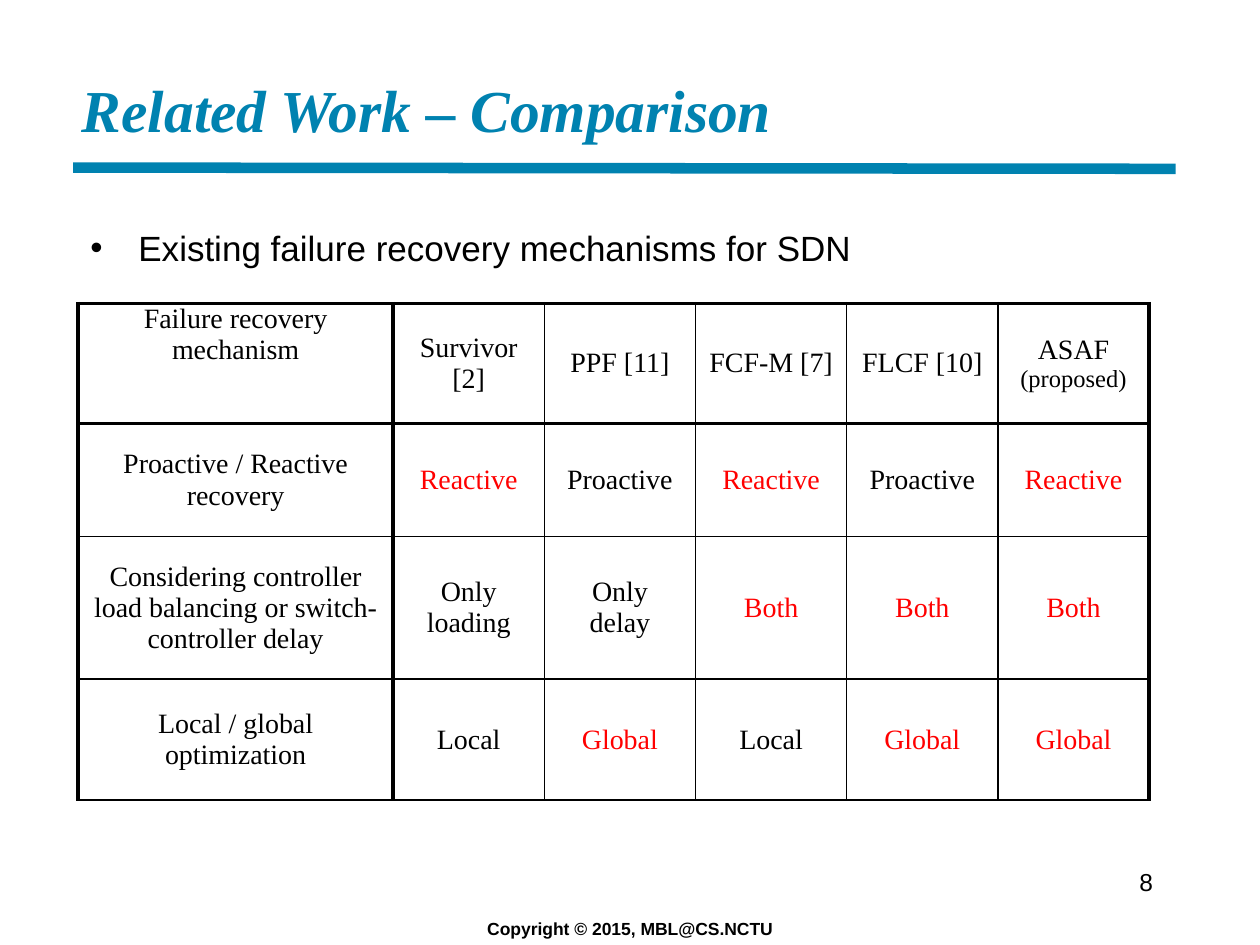
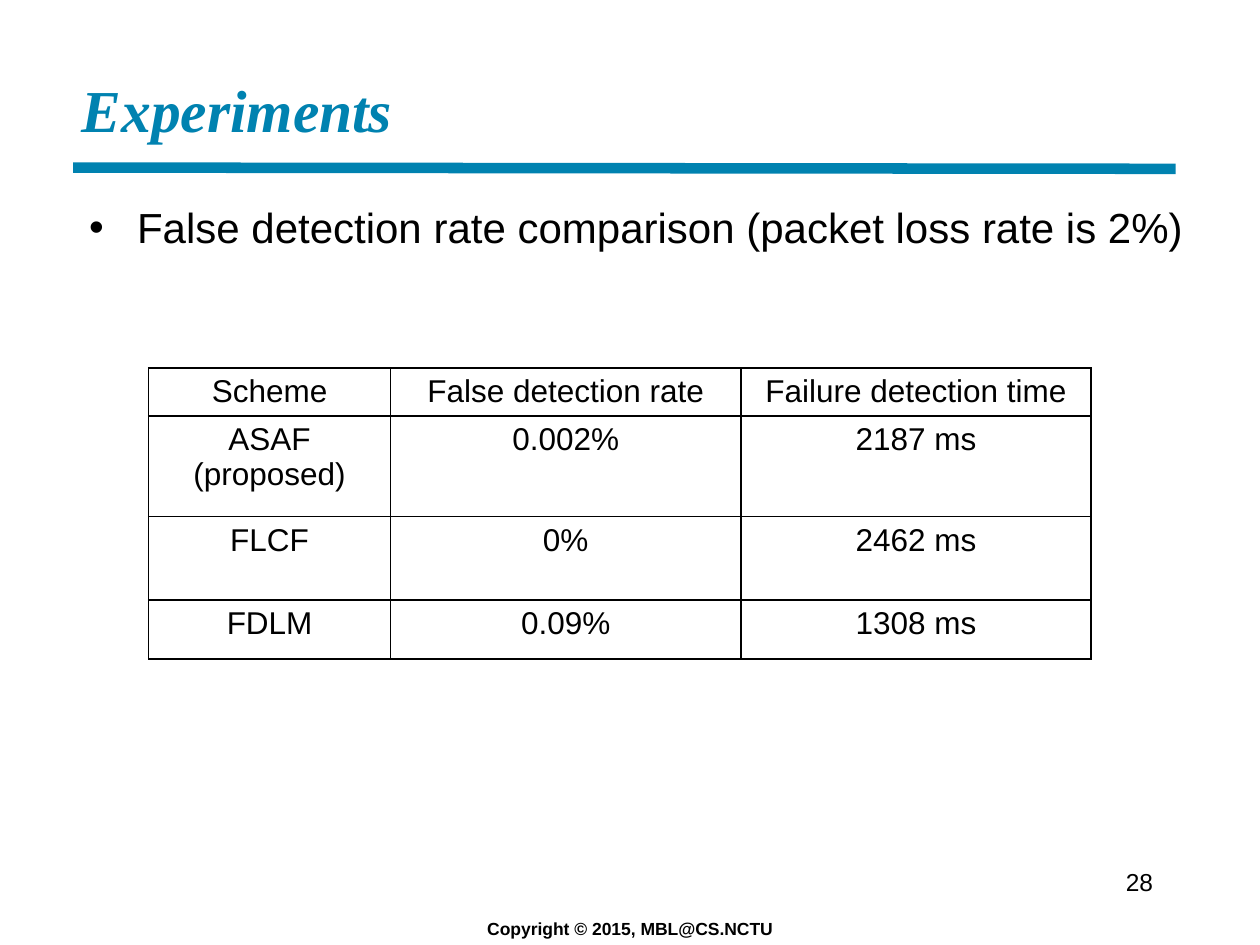
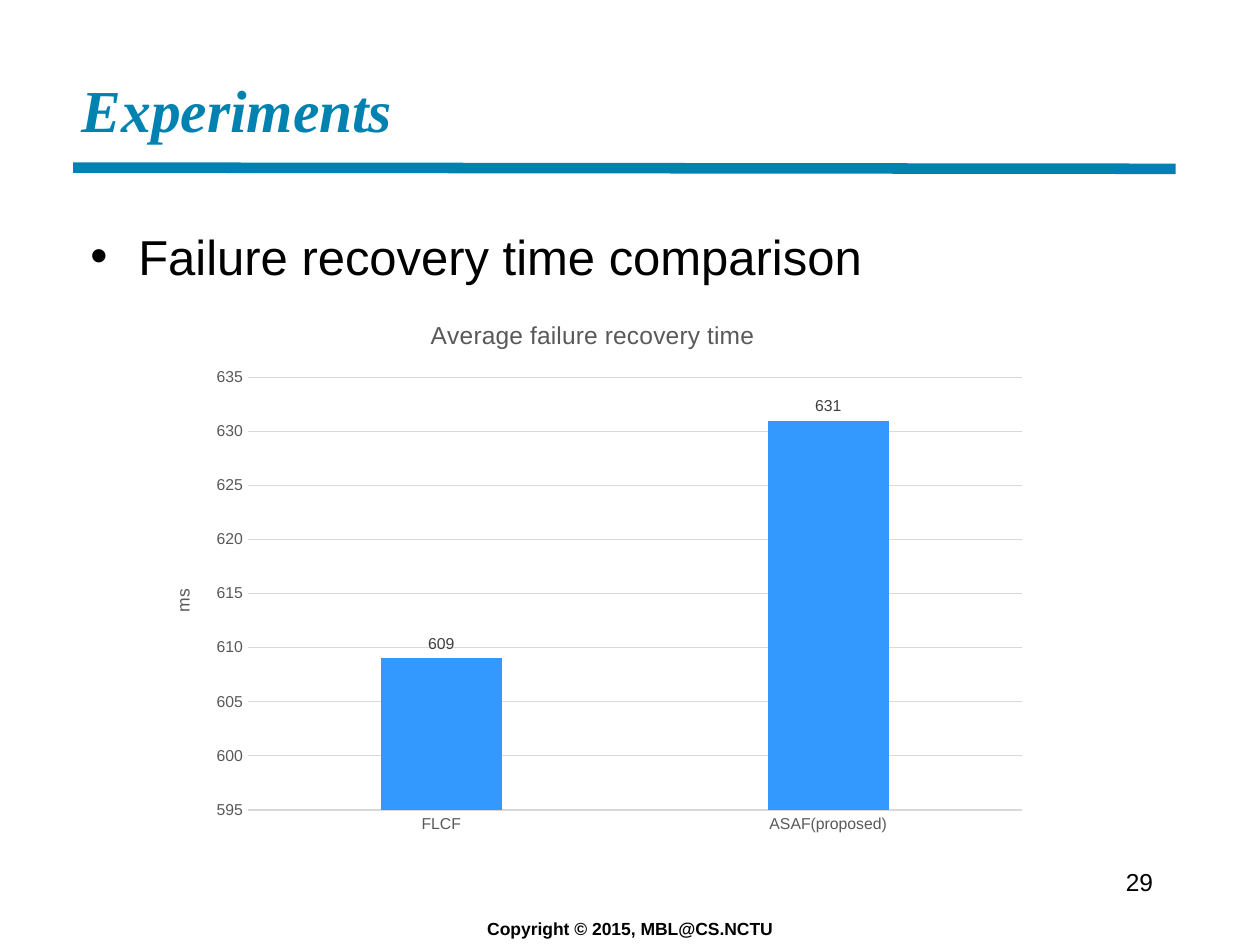
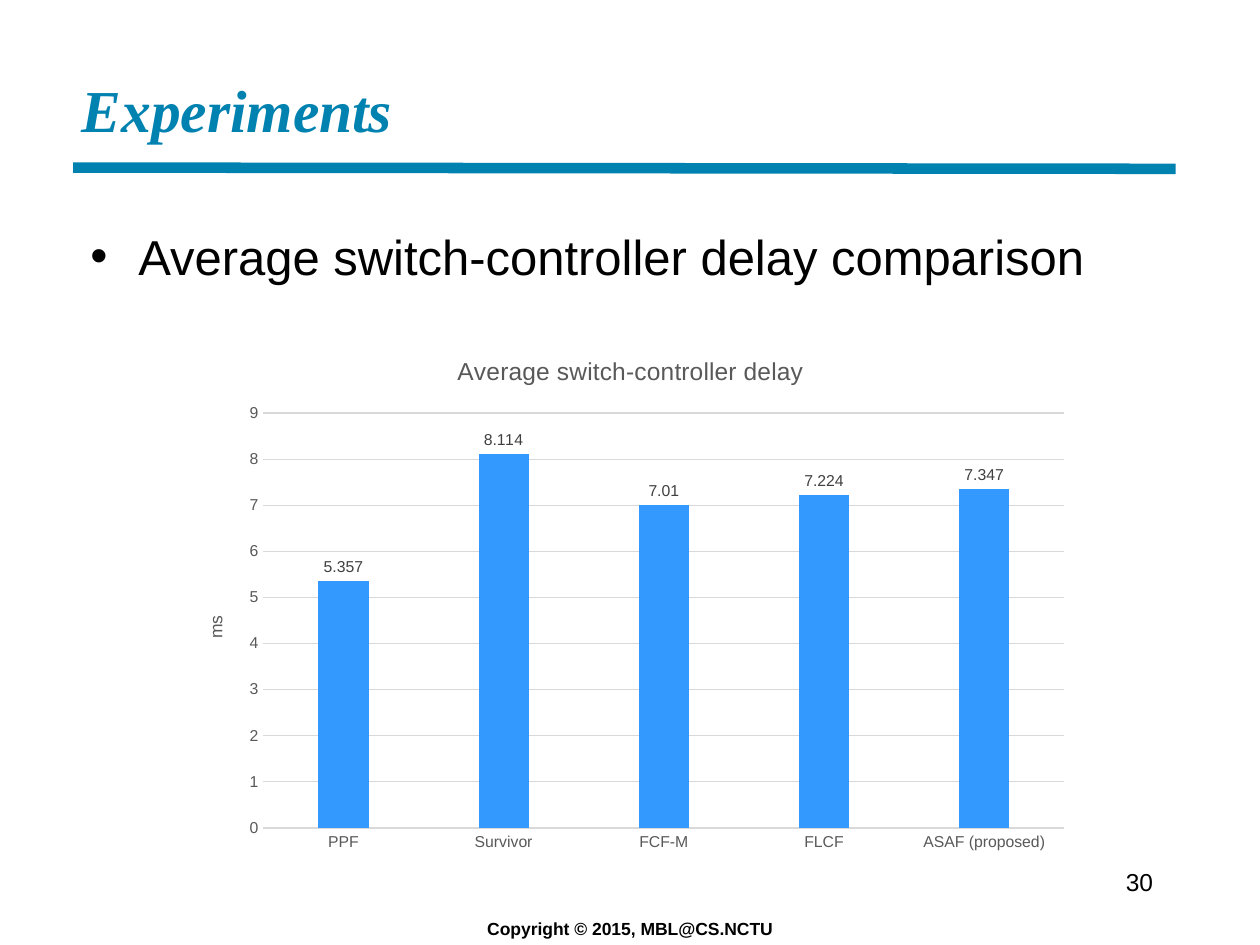
from lxml import etree
from pptx import Presentation
from pptx.chart.data import CategoryChartData
from pptx.dml.color import RGBColor
from pptx.enum.chart import XL_CHART_TYPE, XL_LABEL_POSITION, XL_TICK_MARK
from pptx.enum.shapes import MSO_CONNECTOR
from pptx.enum.text import MSO_ANCHOR, MSO_AUTO_SIZE, PP_ALIGN
from pptx.oxml.ns import qn
from pptx.util import Inches, Pt

LEFT, CENTER, RIGHT = PP_ALIGN.LEFT, PP_ALIGN.CENTER, PP_ALIGN.RIGHT
TOP, MIDDLE, BOTTOM = MSO_ANCHOR.TOP, MSO_ANCHOR.MIDDLE, MSO_ANCHOR.BOTTOM
COLUMNS = XL_CHART_TYPE.COLUMN_CLUSTERED
OUTSIDE_END = XL_LABEL_POSITION.OUTSIDE_END
NO_TICK = XL_TICK_MARK.NONE

# Shared style
SANS, SERIF = "Arial", "Times New Roman"
TEAL, BLACK, RED = "0082B0", "000000", "FF0000"
BAR, GREY, DARK, PALE = "3399FF", "595959", "404040", "D9D9D9"
TITLE = dict(name=SERIF, size=34, color=TEAL, bold=True, italic=True)
FOOTER = dict(name=SANS, size=10, color=BLACK, bold=True)
NUMBER = dict(name=SANS, size=14, color=BLACK)
FOOTER_TEXT = "Copyright © 2015, MBL@CS.NCTU"
THIN, THICK = 1, 2.25

# Slide content
MECHANISMS = [
    ["Failure recovery mechanism", "Survivor [2]", "PPF [11]", "FCF-M [7]",
     "FLCF [10]", "ASAF\n(proposed)"],
    ["Proactive / Reactive recovery", "Reactive", "Proactive", "Reactive",
     "Proactive", "Reactive"],
    ["Considering controller load balancing or switch-controller delay",
     "Only\nloading", "Only\ndelay", "Both", "Both", "Both"],
    ["Local / global optimization", "Local", "Global", "Local", "Global", "Global"],
]
DETECTION = [
    ["Scheme", "False detection rate", "Failure detection time"],
    ["ASAF\n(proposed)", "0.002%", "2187 ms"],
    ["FLCF", "0%", "2462 ms"],
    ["FDLM", "0.09%", "1308 ms"],
]
RECOVERY_TIME = {"FLCF": 609, "ASAF(proposed)": 631}
SWITCH_DELAY = {"PPF": 5.357, "Survivor": 8.114, "FCF-M": 7.01,
                "FLCF": 7.224, "ASAF (proposed)": 7.347}


def rgb(value):
    return RGBColor.from_string(value)


def set_font(font, fmt):
    for key, value in fmt.items():
        if key == "color":
            font.color.rgb = rgb(value)
        else:
            setattr(font, key, Pt(value) if key == "size" else value)


def place(shape, box):
    for side, value in zip(("left", "top", "width", "height"), box):
        setattr(shape, side, Inches(value))


def write(shape, text, fmt, align=LEFT, anchor=TOP, inset=0.1):
    tf = shape.text_frame
    tf.word_wrap, tf.auto_size = True, MSO_AUTO_SIZE.NONE
    tf.vertical_anchor = anchor
    tf.margin_left = tf.margin_right = Inches(inset)
    tf.margin_top = tf.margin_bottom = Inches(0.05)
    p = tf.paragraphs[0]
    p.alignment = align
    r = p.add_run()
    r.text = text
    set_font(r.font, fmt)
    return p


def add_text(s, box, text, fmt, align=LEFT):
    return write(s.shapes.add_textbox(*map(Inches, box)), text, fmt, align)


def add_rule(s):
    line = s.shapes.add_connector(MSO_CONNECTOR.STRAIGHT, Inches(0.58), Inches(1.33),
                                  Inches(9.33), Inches(1.34))
    line.line.color.rgb = rgb(TEAL)
    line.line.width = Pt(6)
    etree.SubElement(line._element.spPr, qn("a:effectLst"))


def add_slide(prs, title, number):
    s = prs.slides.add_slide(prs.slide_layouts[5])
    add_rule(s)
    add_text(s, (0, 7.24, 10, 0.26), FOOTER_TEXT, FOOTER, CENTER)
    place(s.shapes.title, (0.5, 0.5, 8.83, 0.7))
    write(s.shapes.title, title, TITLE, anchor=BOTTOM, inset=0.15)
    add_text(s, (7.17, 6.83, 2.08, 0.38), str(number), NUMBER, RIGHT)
    return s


def add_bullet(s, box, text, size):
    p = add_text(s, box, text, dict(name=SANS, size=size, color=BLACK))
    p.space_before = Pt(size * 0.2)
    pPr = p._p.get_or_add_pPr()
    pPr.set("marL", str(Inches(0.38)))
    pPr.set("indent", str(-Inches(0.38)))
    etree.SubElement(pPr, qn("a:buFont"), typeface=SANS)
    etree.SubElement(pPr, qn("a:buChar"), char="•")


def set_borders(cell, widths):
    tcPr = cell._tc.get_or_add_tcPr()
    for i, (side, width) in enumerate(zip("LRTB", widths)):
        ln = etree.Element(qn(f"a:ln{side}"), w=str(Pt(width)))
        fill = etree.SubElement(ln, qn("a:solidFill"))
        etree.SubElement(fill, qn("a:srgbClr"), val=BLACK)
        tcPr.insert(i, ln)


def fill_cell(cell, text, fmt, special):
    """Write one paragraph a line; special maps a wording to its own format."""
    tf = cell.text_frame
    for i, words in enumerate(text.split("\n")):
        p = tf.add_paragraph() if i else tf.paragraphs[0]
        p.alignment = CENTER
        r = p.add_run()
        r.text = words
        set_font(r.font, {**fmt, **special.get(words, {})})


def add_grid(s, at, cols, heights, rows, fmt, special={}, heavy=(), margins=(0.1, 0.05)):
    """Draw a ruled table; heavy names the grid lines that are thick, as (axis, index)."""
    box = (*at, sum(cols), sum(heights))
    table = s.shapes.add_table(len(rows), len(cols), *map(Inches, box)).table
    table.first_row = table.horz_banding = False
    for items, sizes, attr in ((table.columns, cols, "width"), (table.rows, heights, "height")):
        for item, size in zip(items, sizes):
            setattr(item, attr, Inches(size))
    for i, row in enumerate(rows):
        for j, text in enumerate(row):
            cell = table.cell(i, j)
            cell.fill.background()
            cell.margin_left = cell.margin_right = Inches(margins[0])
            cell.margin_top = cell.margin_bottom = Inches(margins[1])
            fill_cell(cell, text, fmt, special)
            edges = (("v", j), ("v", j + 1), ("h", i), ("h", i + 1))
            set_borders(cell, [THICK if e in heavy else THIN for e in edges])
    return table


def add_title(owner, text, size):
    """Title a chart or an axis."""
    owner.has_title = True
    title = owner.chart_title if hasattr(owner, "chart_title") else owner.axis_title
    r = title.text_frame.paragraphs[0].add_run()
    r.text = text
    set_font(r.font, dict(name=SANS, size=size, color=GREY, bold=False))


def add_columns(s, box, title, values, scale):
    data = CategoryChartData()
    data.categories = list(values)
    data.add_series("Series 1", list(values.values()))
    chart = s.shapes.add_chart(COLUMNS, *map(Inches, box), data).chart
    set_font(chart.font, dict(name=SANS, size=10, color=BLACK))
    chart.has_legend = False
    add_title(chart, title, 14)

    # Axes
    cat, val = chart.category_axis, chart.value_axis
    for axis in (cat, val):
        axis.major_tick_mark = axis.minor_tick_mark = NO_TICK
        set_font(axis.tick_labels.font, dict(name=SANS, size=9, color=GREY))
    add_title(val, "ms", 10)
    val.minimum_scale, val.maximum_scale, val.major_unit = scale
    val.format.line.fill.background()
    for line in (cat.format.line, val.major_gridlines.format.line):
        line.color.rgb = rgb(PALE)
        line.width = Pt(0.75)

    # Columns and their values
    plot = chart.plots[0]
    plot.gap_width, plot.overlap, plot.vary_by_categories = 219, -27, False
    fill = plot.series[0].format.fill
    fill.solid()
    fill.fore_color.rgb = rgb(BAR)
    labels = plot.series[0].data_labels
    labels.show_value, labels.position = True, OUTSIDE_END
    set_font(labels.font, dict(name=SANS, size=9, color=DARK))


def main():
    prs = Presentation()
    prs.slide_width, prs.slide_height = Inches(10), Inches(7.5)

    # Comparison of mechanisms
    s = add_slide(prs, "Related Work – Comparison", 8)
    special = {word: dict(color=RED) for word in ("Reactive", "Both", "Global")}
    special["(proposed)"] = dict(size=14)
    table = add_grid(s, (0.62, 2.41), [2.5] + [1.2] * 5, [0.95, 0.9, 1.13, 0.96],
                     MECHANISMS, dict(name=SERIF, size=16, color=BLACK), special,
                     heavy={("v", 0), ("v", 1), ("v", 6), ("h", 0), ("h", 1)},
                     margins=(0.07, 0))
    for cell in table.iter_cells():
        cell.vertical_anchor = MIDDLE
    table.cell(0, 0).vertical_anchor = TOP
    add_bullet(s, (0.62, 1.75, 8.76, 0.6), "Existing failure recovery mechanisms for SDN", 20)

    # False detection rate
    s = add_slide(prs, "Experiments", 28)
    add_bullet(s, (0.61, 1.55, 8.88, 1.1),
               "False detection rate comparison (packet loss rate is 2%)", 24)
    add_grid(s, (1.18, 2.92), [1.92, 2.78, 2.78], [0.38, 0.8, 0.66, 0.47],
             DETECTION, dict(name=SANS, size=18, color=BLACK))

    # Measured times
    for number, bullet, box, title, values, scale in (
        (29, "Failure recovery time comparison", (1.16, 2.36, 7.09, 4.34),
         "Average failure recovery time", RECOVERY_TIME, (595, 635, 5)),
        (30, "Average switch-controller delay comparison", (1.42, 2.65, 7.17, 4.19),
         "Average switch-controller delay", SWITCH_DELAY, (0, 9, 1)),
    ):
        s = add_slide(prs, "Experiments", number)
        add_bullet(s, (0.62, 1.75, 8.76, 0.7), bullet, 28)
        add_columns(s, box, title, values, scale)

    prs.save("out.pptx")


if __name__ == "__main__":
    main()
